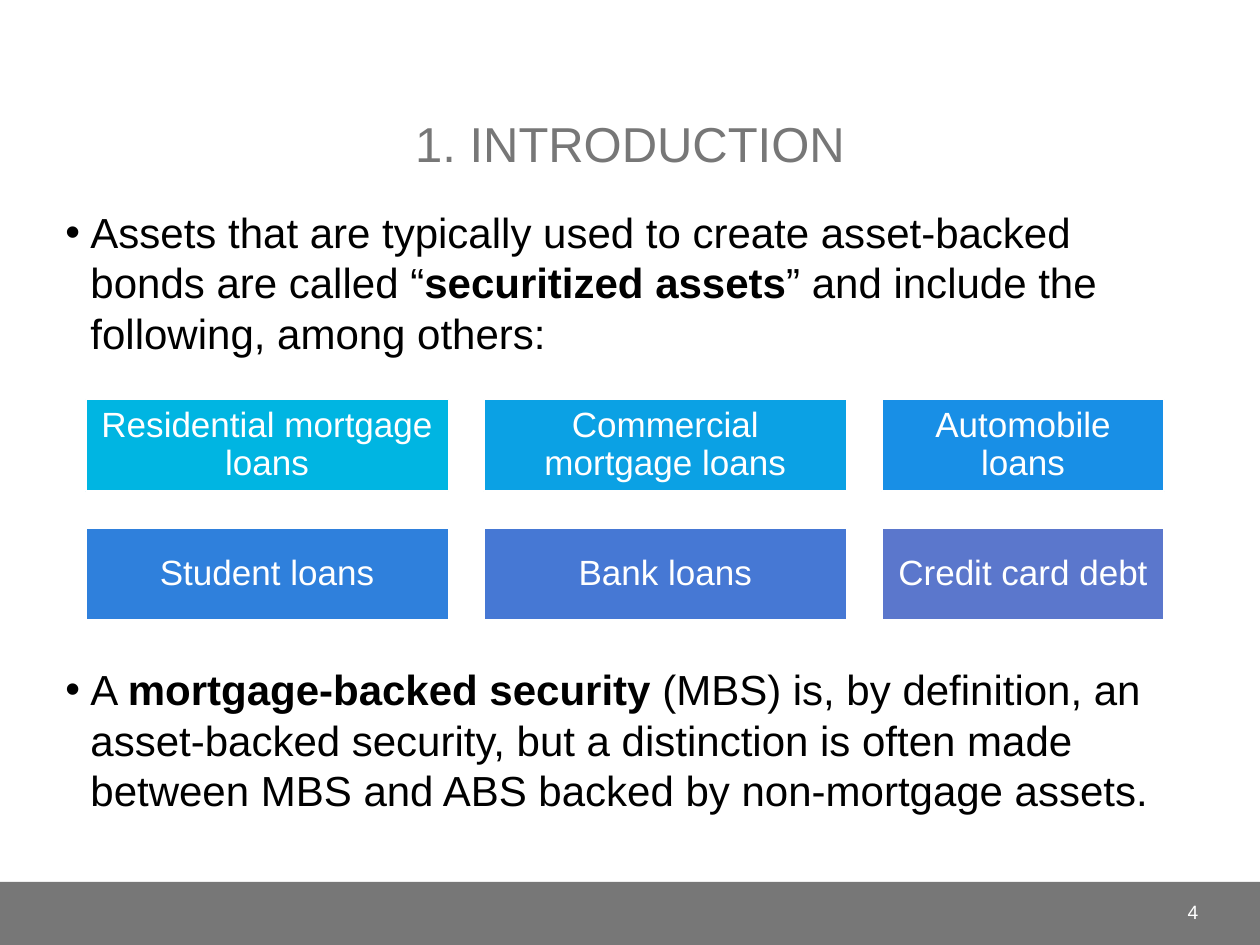
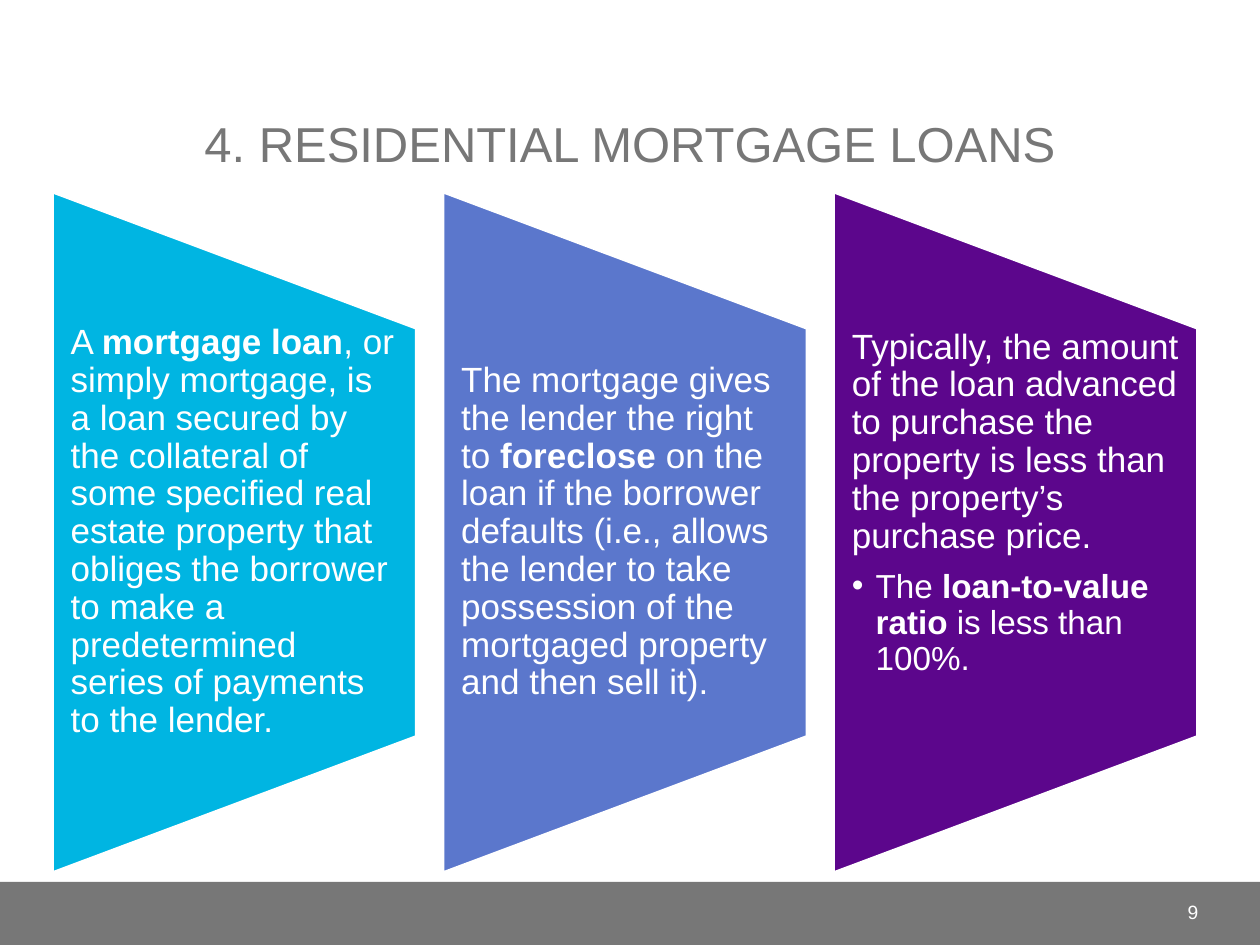
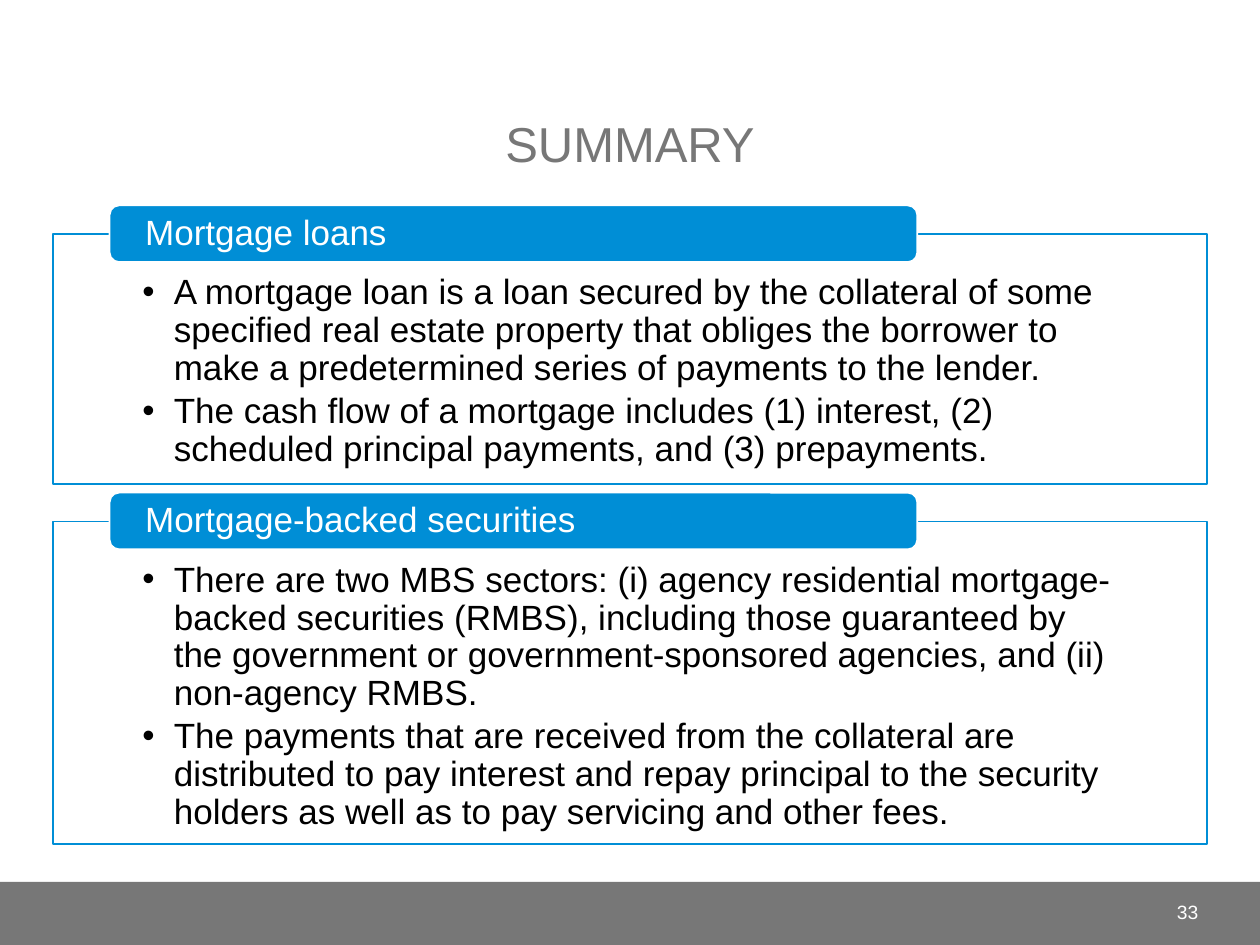
"""Builds three slides on mortgage loans and mortgage-backed securities."""
from dataclasses import dataclass

from lxml.etree import SubElement
from pptx import Presentation
from pptx.dml.color import RGBColor
from pptx.enum.shapes import MSO_SHAPE
from pptx.enum.text import MSO_ANCHOR, PP_ALIGN
from pptx.oxml.ns import qn
from pptx.util import Inches, Pt


@dataclass(frozen=True)
class Theme:
    """Colours, font and type sizes."""
    font: str = "Arial"
    gray: str = "777777"
    white: str = "FFFFFF"
    black: str = "000000"
    cyan: str = "00B5E2"
    blue: str = "008ED6"
    indigo: str = "5B77CC"
    purple: str = "5C068C"
    loans: tuple = ("00B5E2", "0BA1E4", "188FE6", "2F80DC", "4678D4", "5B77CC")
    title: int = 28
    body: int = 24
    label: int = 20
    detail: int = 19
    number: int = 11


THEME = Theme()


def add_paragraph(tf, text, *, size, color, first=False, align=PP_ALIGN.LEFT,
                  spacing=1.0, gap=0, indent=0):
    """Add a paragraph; **marks** set bold and an indent gives it a bullet."""
    p = tf.paragraphs[0] if first else tf.add_paragraph()
    p.alignment = align
    p.line_spacing = spacing
    if not first:
        p.space_before = Pt(gap)
    if indent:
        pPr = p._p.get_or_add_pPr()
        pPr.set("marL", str(Inches(indent)))
        pPr.set("indent", str(-Inches(indent)))
        SubElement(pPr, qn("a:buFont"), typeface=THEME.font)
        SubElement(pPr, qn("a:buChar"), char="•")
    for i, part in enumerate(text.split("**")):
        if part:
            r = p.add_run()
            r.text = part
            r.font.name = THEME.font
            r.font.size = Pt(size)
            r.font.bold = i % 2 == 1
            r.font.color.rgb = RGBColor.from_string(color)


class Deck:
    """Holds the presentation, its theme and the current slide."""

    def __init__(self, theme):
        """Start an empty 10 by 7.5 inch presentation."""
        self.theme = theme
        self.prs = Presentation()
        self.prs.slide_width, self.prs.slide_height = Inches(10), Inches(7.5)
        self.s = None

    def slide(self, title, number):
        """Add a slide with its title, footer band and number."""
        t = self.theme
        self.s = self.prs.slides.add_slide(self.prs.slide_layouts[6])
        self.shape(MSO_SHAPE.RECTANGLE, (0, 7, 10, 0.5), t.gray)
        self.text((0.42, 0.17, 9.16, 1.25), [title], anchor=MSO_ANCHOR.BOTTOM,
                  size=t.title, color=t.gray, align=PP_ALIGN.CENTER)
        self.text((8.75, 7.04, 0.86, 0.4), [str(number)], anchor=MSO_ANCHOR.MIDDLE,
                  size=t.number, color=t.white, align=PP_ALIGN.RIGHT)

    def shape(self, kind, box, fill, line=None, rotation=0):
        """Add a filled preset shape."""
        sp = self.s.shapes.add_shape(kind, *map(Inches, box))
        sp.shadow.inherit = False
        sp.rotation = rotation
        sp.fill.solid()
        sp.fill.fore_color.rgb = RGBColor.from_string(fill)
        if line:
            sp.line.color.rgb = RGBColor.from_string(line)
            sp.line.width = Pt(1)
        else:
            sp.line.fill.background()
        return sp

    def text(self, box, paragraphs, **style):
        """Add a text box."""
        sp = self.s.shapes.add_textbox(*map(Inches, box))
        self.fill_text(sp, paragraphs, **style)

    def fill_text(self, sp, paragraphs, anchor=MSO_ANCHOR.TOP,
                  insets=(0.1, 0.05, 0.1, 0.05), **style):
        """Fill a shape; a paragraph is text or a pair of text and own style."""
        tf = sp.text_frame
        tf.word_wrap = True
        tf.vertical_anchor = anchor
        (tf.margin_left, tf.margin_top,
         tf.margin_right, tf.margin_bottom) = map(Inches, insets)
        for i, item in enumerate(paragraphs):
            text, own = (item, {}) if isinstance(item, str) else item
            add_paragraph(tf, text, first=i == 0, **{**style, **own})

    def bullet(self, top, text):
        """Add a large body bullet."""
        self.text((0.42, top, 9.16, 1.4), [text], size=self.theme.body,
                  color=self.theme.black, indent=0.2)

    def tile(self, box, fill, label):
        """Add a coloured tile with a centred label."""
        sp = self.shape(MSO_SHAPE.RECTANGLE, box, fill, self.theme.white)
        self.fill_text(sp, [label], anchor=MSO_ANCHOR.MIDDLE, insets=(0.08,) * 4,
                       size=self.theme.label, color=self.theme.white,
                       align=PP_ALIGN.CENTER, spacing=0.9)

    def trapezoid(self, left, fill, paragraphs, anchor):
        """Add a trapezoid that narrows to the right, with its text."""
        t = self.theme
        width, height, top = 2.88, 5.39, 1.53
        shift = (height - width) / 2
        self.shape(MSO_SHAPE.FLOWCHART_MANUAL_OPERATION,
                   (left - shift, top + shift, height, width), fill, t.white, 270)
        self.text((left, 2.61, width, 3.23), paragraphs, anchor=anchor,
                  insets=(0.14, 0, 0.14, 0), size=t.label, color=t.white, spacing=0.9)

    def panel(self, top, height, heading, bullets):
        """Add an outlined panel of bullets with a heading tab."""
        t = self.theme
        sp = self.shape(MSO_SHAPE.RECTANGLE, (0.42, top, 9.16, height), t.white, t.blue)
        self.fill_text(sp, bullets, insets=(0.71, 0.32, 0.71, 0.16), size=t.label,
                       color=t.black, spacing=0.9, gap=3, indent=0.25)
        tab = self.shape(MSO_SHAPE.ROUNDED_RECTANGLE, (0.87, top - 0.23, 6.41, 0.45),
                         t.blue, t.white)
        self.fill_text(tab, [heading], anchor=MSO_ANCHOR.MIDDLE,
                       insets=(0.26, 0, 0.26, 0), size=t.label, color=t.white,
                       spacing=0.9)


def introduction(deck):
    """Securitized assets and the MBS definition."""
    deck.slide("1. INTRODUCTION", 4)
    deck.bullet(1.59, "Assets that are typically used to create asset-backed bonds are "
                "called “**securitized assets**” and include the following, among others:")
    labels = ("Residential mortgage loans", "Commercial mortgage loans",
              "Automobile loans", "Student loans", "Bank loans", "Credit card debt")
    widths = (2.88, 2.88, 2.24)
    for i, (label, fill) in enumerate(zip(labels, deck.theme.loans)):
        row, col = divmod(i, len(widths))
        deck.tile((0.68 + 3.16 * col, 3.17 + 1.02 * row, widths[col], 0.73), fill, label)
    deck.bullet(5.22, "A **mortgage-backed security **(MBS) is, by definition, an "
                "asset-backed security, but a distinction is often made between MBS "
                "and ABS backed by non-mortgage assets.")


def residential_loans(deck):
    """Three facts about residential mortgage loans."""
    t = deck.theme
    deck.slide("4. RESIDENTIAL MORTGAGE LOANS", 9)
    facts = (
        (t.cyan, MSO_ANCHOR.MIDDLE,
         ["A **mortgage loan**, or simply mortgage, is a loan secured by the collateral "
          "of some specified real estate property that obliges the borrower to make a "
          "predetermined series of payments to the lender."]),
        (t.indigo, MSO_ANCHOR.MIDDLE,
         ["The mortgage gives the lender the right to **foreclose** on the loan if the "
          "borrower defaults (i.e., allows the lender to take possession of the "
          "mortgaged property and then sell it)."]),
        (t.purple, MSO_ANCHOR.TOP,
         ["Typically, the amount of the loan advanced to purchase the property is less "
          "than the property’s purchase price.",
          ("The **loan-to-value ratio **is less than 100%.",
           {"size": t.detail, "gap": 8, "indent": 0.19})]),
    )
    for i, (fill, anchor, paragraphs) in enumerate(facts):
        deck.trapezoid(0.42 + 3.1 * i, fill, paragraphs, anchor)


def summary(deck):
    """Closing panels on loans and securities."""
    deck.slide("SUMMARY", 33)
    deck.panel(1.86, 1.98, "Mortgage loans", [
        "A mortgage loan is a loan secured by the collateral of some specified real "
        "estate property that obliges the borrower to make a predetermined series of "
        "payments to the lender.",
        "The cash flow of a mortgage includes (1) interest, (2) scheduled principal "
        "payments, and (3) prepayments."])
    deck.panel(4.14, 2.56, "Mortgage-backed securities", [
        "There are two MBS sectors: (i) agency residential mortgage-backed securities "
        "(RMBS), including those guaranteed by the government or government-sponsored "
        "agencies, and (ii) non-agency RMBS.",
        "The payments that are received from the collateral are distributed to pay "
        "interest and repay principal to the security holders as well as to pay "
        "servicing and other fees."])


def main():
    """Build and save the slides."""
    deck = Deck(THEME)
    introduction(deck)
    residential_loans(deck)
    summary(deck)
    deck.prs.save("out.pptx")


if __name__ == "__main__":
    main()
